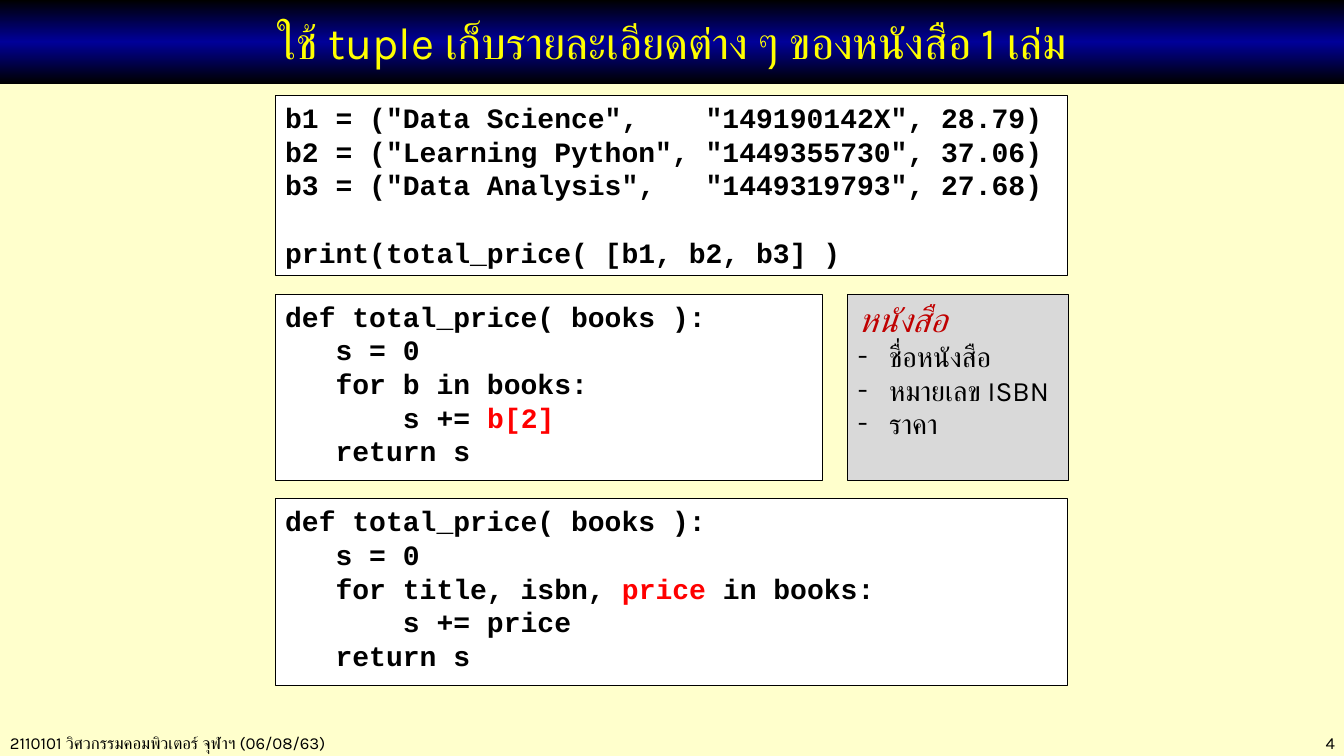
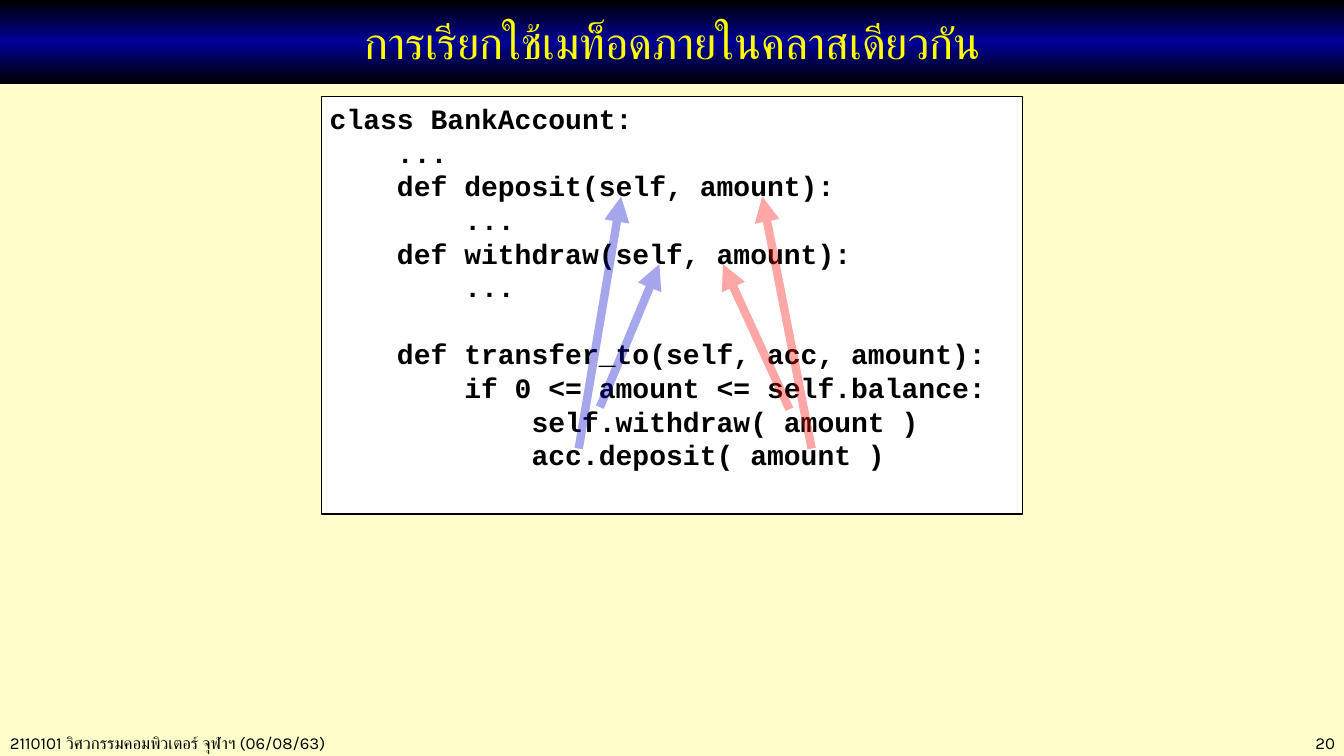
"""Build two slides on tuples and on calling methods within a class."""
from copy import deepcopy

from lxml.etree import SubElement
from pptx import Presentation
from pptx.dml.color import RGBColor
from pptx.enum.shapes import MSO_CONNECTOR, MSO_SHAPE
from pptx.enum.text import MSO_ANCHOR, MSO_AUTO_SIZE, PP_ALIGN
from pptx.oxml.ns import qn
from pptx.util import Inches, Pt

BLACK, WHITE, CREAM, GREY = "000000", "FFFFFF", "FFFFCC", "D9D9D9"
NAVY, BLUE, RED, DARK_RED, YELLOW = "000099", "0000CC", "FF0000", "C00000", "FFFF00"
TEXT_FONT, CODE_FONT = "Karla", "Courier New"
CODE_PITCH = 24
FOOTER = "2110101 วิศวกรรมคอมพิวเตอร์ จุฬาฯ (06/08/63)"

BOOKS_CODE = '''b1 = ("Data Science",    "149190142X", 28.79)
b2 = ("Learning Python", "1449355730", 37.06)
b3 = ("Data Analysis",   "1449319793", 27.68)

print(total_price( [b1, b2, b3] )'''
INDEX_CODE = '''def total_price( books ):
   s = 0
   for b in books:
       s += |b[2]|
   return s'''
UNPACK_CODE = '''def total_price( books ):
   s = 0
   for title, isbn, |price| in books:
       s += price
   return s'''
ACCOUNT_CODE = '''class BankAccount:
    ...
    def deposit(self, amount):
        ...
    def withdraw(self, amount):
        ...

    def transfer_to(self, acc, amount):
        if 0 <= amount <= self.balance:
            self.withdraw( amount )
            acc.deposit( amount )'''


def rgb(value):
    """Turn a hex string into a colour."""
    return RGBColor.from_string(value)


def add_span(para, text, size=20, font=TEXT_FONT, color=BLACK, bold=False, italic=False):
    """Append formatted text to a paragraph."""
    span = para.add_run()
    span.text = text
    span.font.size, span.font.name = Pt(size), font
    span.font.bold, span.font.italic = bold, italic
    span.font.color.rgb = rgb(color)
    SubElement(span.font._element, qn("a:cs"), typeface=font)


def next_para(frame, first):
    """Return the opening paragraph or a new one."""
    return frame.paragraphs[0] if first else frame.add_paragraph()


def add_panel(page, left, top, width, height, fill=WHITE):
    """Add an outlined rectangle with text at its top left."""
    panel = page.shapes.add_shape(
        MSO_SHAPE.RECTANGLE, Inches(left), Inches(top), Inches(width), Inches(height))
    panel.shadow.inherit = False
    panel.fill.solid()
    panel.fill.fore_color.rgb = rgb(fill)
    panel.line.color.rgb = rgb(BLACK)
    panel.line.width = Pt(0.75)
    frame = panel.text_frame
    frame.word_wrap = True
    frame.vertical_anchor = MSO_ANCHOR.TOP
    frame.margin_right = 0
    return frame


def add_code(page, code, left, top, width, height, inset=0.1):
    """Add a code panel; text between bars is red, an empty line becomes spacing."""
    frame = add_panel(page, left, top, width, height)
    frame.margin_left = Inches(inset)
    gap = 0
    for index, line in enumerate(code.split("\n")):
        if not line:
            gap = CODE_PITCH
            continue
        para = next_para(frame, index == 0)
        para.alignment = PP_ALIGN.LEFT
        para.line_spacing, para.space_before = Pt(CODE_PITCH), Pt(gap)
        gap = 0
        for part, text in enumerate(line.split("|")):
            if text:
                add_span(para, text, font=CODE_FONT, bold=True, color=RED if part % 2 else BLACK)


def add_field_list(page, heading, fields, left, top, width, height):
    """Add a grey panel with a heading and dashed items."""
    frame = add_panel(page, left, top, width, height, fill=GREY)
    para = frame.paragraphs[0]
    para.alignment = PP_ALIGN.LEFT
    add_span(para, heading, size=24, color=DARK_RED, italic=True)
    for field in fields:
        para = frame.add_paragraph()
        para.alignment = PP_ALIGN.LEFT
        properties = para._p.get_or_add_pPr()
        indent = Inches(0.31)
        properties.set("marL", str(indent))
        properties.set("indent", str(-indent))
        SubElement(properties, qn("a:buFont"), typeface=TEXT_FONT)
        SubElement(properties, qn("a:buChar"), char="-")
        add_span(para, field)


def add_arrow(page, start, end, color):
    """Add a thick translucent arrow."""
    arrow = page.shapes.add_connector(
        MSO_CONNECTOR.STRAIGHT, *(Inches(value) for value in (*start, *end)))
    arrow.line.width = Pt(6)
    arrow.line.color.rgb = rgb(color)
    line = arrow.line._ln
    SubElement(line.find(".//" + qn("a:srgbClr")), qn("a:alpha"), val="35000")
    SubElement(line, qn("a:tailEnd"), type="triangle")
    SubElement(arrow._element.spPr, qn("a:effectLst"))


def add_footer(page, text, left, width, align):
    """Add one footer text."""
    box = page.shapes.add_textbox(Inches(left), Inches(7.22), Inches(width), Inches(0.3))
    box.text_frame.word_wrap = True
    para = box.text_frame.paragraphs[0]
    para.alignment = align
    add_span(para, text, size=12)


def format_title(title, text):
    """Place the title as a band with a black, navy and black gradient."""
    title.left, title.top = 0, 0
    title.width, title.height = Inches(13.34), Inches(0.83)
    title.fill.gradient()
    title.fill.gradient_angle = 90
    for stop, position, color in zip(title.fill.gradient_stops, (0, 1), (BLACK, BLACK)):
        stop.position = position
        stop.color.rgb = rgb(color)
    stop_list = title._element.spPr.find(".//" + qn("a:gsLst"))
    stop_list.insert(1, deepcopy(stop_list[0]))
    middle = title.fill.gradient_stops[1]
    middle.position = 0.5
    middle.color.rgb = rgb(NAVY)
    frame = title.text_frame
    frame.auto_size = MSO_AUTO_SIZE.NONE
    frame.vertical_anchor = MSO_ANCHOR.MIDDLE
    para = frame.paragraphs[0]
    para.alignment = PP_ALIGN.CENTER
    add_span(para, text, size=32, color=YELLOW)


def add_page(deck, title, number):
    """Add a slide with its title band and footers."""
    page = deck.slides.add_slide(deck.slide_layouts.get_by_name("Title Only"))
    format_title(page.shapes.title, title)
    add_footer(page, FOOTER, 0, 5.2, PP_ALIGN.LEFT)
    add_footer(page, str(number), 11.5, 1.84, PP_ALIGN.RIGHT)
    return page


def build_tuple_page(deck):
    """Build the slide on storing books in tuples."""
    page = add_page(deck, "ใช้ tuple เก็บรายละเอียดต่าง ๆ ของหนังสือ 1 เล่ม", 4)
    add_code(page, BOOKS_CODE, 2.73, 0.95, 7.86, 1.78)
    add_field_list(page, "หนังสือ", ("ชื่อหนังสือ", "หมายเลข ISBN", "ราคา"),
                   8.41, 2.92, 2.19, 1.85)
    add_code(page, INDEX_CODE, 2.73, 2.92, 5.43, 1.85)
    add_code(page, UNPACK_CODE, 2.73, 4.95, 7.86, 1.85)


def build_method_page(deck):
    """Build the slide on calling methods of the same class."""
    page = add_page(deck, "การเรียกใช้เมท็อดภายในคลาสเดียวกัน", 20)
    add_code(page, ACCOUNT_CODE, 3.19, 0.96, 6.95, 4.14, inset=0.08)
    for start, end, color in (
            ((5.95, 4.04), (6.54, 2.62), BLUE),
            ((7.83, 4.06), (7.17, 2.62), RED),
            ((5.74, 4.45), (6.16, 1.95), BLUE),
            ((8.05, 4.45), (7.56, 1.95), RED)):
        add_arrow(page, start, end, color)


def main():
    """Build and save the deck."""
    deck = Presentation()
    deck.slide_width, deck.slide_height = Inches(13.33), Inches(7.5)
    background = deck.slide_master.background.fill
    background.solid()
    background.fore_color.rgb = rgb(CREAM)
    build_tuple_page(deck)
    build_method_page(deck)
    deck.save("out.pptx")


if __name__ == "__main__":
    main()
